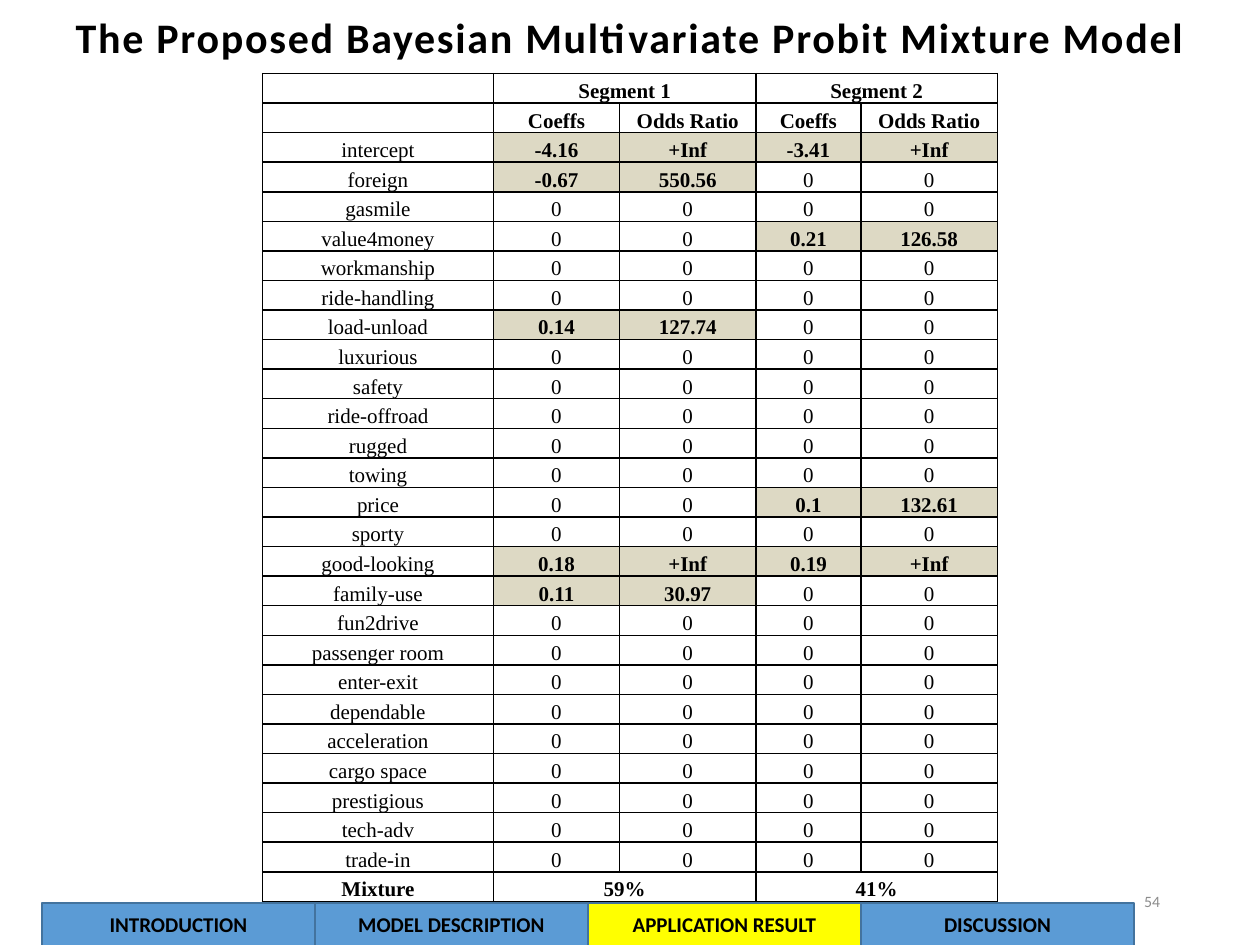
from lxml import etree
from pptx import Presentation
from pptx.dml.color import RGBColor
from pptx.enum import shapes, text
from pptx.oxml import ns
from pptx.util import Pt

BLACK = RGBColor(0x00, 0x00, 0x00)
WHITE = RGBColor(0xFF, 0xFF, 0xFF)
GREY = RGBColor(0x8C, 0x8C, 0x8C)
BLUE = RGBColor(0x5B, 0x9B, 0xD5)
BLUE_EDGE = RGBColor(0x43, 0x73, 0x9E)
YELLOW = RGBColor(0xFF, 0xFF, 0x00)
BEIGE = RGBColor(0xDD, 0xD9, 0xC4)

TITLE = "The Proposed Bayesian Multivariate Probit Mixture Model"
SECTIONS = ["INTRODUCTION", "MODEL DESCRIPTION", "APPLICATION RESULT", "DISCUSSION"]
CURRENT = "APPLICATION RESULT"
TAB_LEFT, TAB_TOP, TAB_W, TAB_H = 24, 516, 156, 24.5

COL_WIDTHS = [132, 72, 78, 60, 78]
ROW_H = 16.92
HEADERS = [["", "Segment 1", "", "Segment 2", ""],
           ["", "Coeffs", "Odds Ratio", "Coeffs", "Odds Ratio"]]
FOOTER = ["Mixture", "59%", "", "41%", ""]
ATTRIBUTES = [
    "intercept", "foreign", "gasmile", "value4money", "workmanship",
    "ride-handling", "load-unload", "luxurious", "safety", "ride-offroad",
    "rugged", "towing", "price", "sporty", "good-looking", "family-use",
    "fun2drive", "passenger room", "enter-exit", "dependable", "acceleration",
    "cargo space", "prestigious", "tech-adv", "trade-in",
]
ZEROS = ["0", "0"]
SEGMENT_1 = {
    "intercept": ["-4.16", "+Inf"],
    "foreign": ["-0.67", "550.56"],
    "load-unload": ["0.14", "127.74"],
    "good-looking": ["0.18", "+Inf"],
    "family-use": ["0.11", "30.97"],
}
SEGMENT_2 = {
    "intercept": ["-3.41", "+Inf"],
    "value4money": ["0.21", "126.58"],
    "price": ["0.1", "132.61"],
    "good-looking": ["0.19", "+Inf"],
}


def set_text(tf, words, size, color=BLACK, bold=True, font="Calibri",
             align=text.PP_ALIGN.CENTER):
    tf.text = words
    p = tf.paragraphs[0]
    p.alignment = align
    for r in p.runs:
        r.font.name = font
        r.font.size = Pt(size)
        r.font.bold = bold
        r.font.color.rgb = color


def add_title(slide):
    sp = slide.shapes.title
    sp.left, sp.top, sp.width, sp.height = Pt(0), Pt(0), Pt(720), Pt(42)
    sp.fill.solid()
    sp.fill.fore_color.rgb = WHITE
    tf = sp.text_frame
    set_text(tf, TITLE, 24)
    tf.auto_size = text.MSO_AUTO_SIZE.NONE
    tf.vertical_anchor = text.MSO_ANCHOR.MIDDLE
    tf.paragraphs[0].runs[0].font._element.set("spc", "100")


def add_page_number(slide, number):
    sp = slide.shapes.add_textbox(Pt(508), Pt(500.5), Pt(162), Pt(28.75))
    tf = sp.text_frame
    tf.word_wrap = True
    tf.vertical_anchor = text.MSO_ANCHOR.MIDDLE
    set_text(tf, number, 9, GREY, False, align=text.PP_ALIGN.RIGHT)


def add_tab(slide, i, label):
    sp = slide.shapes.add_shape(shapes.MSO_SHAPE.RECTANGLE, Pt(TAB_LEFT + i * TAB_W),
                                Pt(TAB_TOP), Pt(TAB_W), Pt(TAB_H))
    sp.shadow.inherit = False
    sp.fill.solid()
    sp.fill.fore_color.rgb = YELLOW if label == CURRENT else BLUE
    sp.line.color.rgb = BLUE_EDGE
    sp.line.width = Pt(1)
    sp.text_frame.vertical_anchor = text.MSO_ANCHOR.MIDDLE
    set_text(sp.text_frame, label, 12)


def add_borders(cell):
    tcPr = cell._tc.get_or_add_tcPr()
    for side in ("lnL", "lnR", "lnT", "lnB"):
        ln = etree.SubElement(tcPr, ns.qn("a:" + side), w=str(Pt(1)))
        fill = etree.SubElement(ln, ns.qn("a:solidFill"))
        etree.SubElement(fill, ns.qn("a:srgbClr"), val=str(BLACK))


def format_cell(cell, words, bold, shaded):
    cell.margin_left = cell.margin_right = cell.margin_top = Pt(0.75)
    cell.margin_bottom = Pt(0)
    cell.vertical_anchor = text.MSO_ANCHOR.BOTTOM
    add_borders(cell)
    if shaded:
        cell.fill.solid()
        cell.fill.fore_color.rgb = BEIGE
    else:
        cell.fill.background()
    set_text(cell.text_frame, words, 12, bold=bold, font="Times New Roman")
    if not words:
        p = cell.text_frame.paragraphs[0]
        etree.SubElement(p._p, ns.qn("a:endParaRPr"), sz="1200")


def add_results_table(slide):
    body = [[name] + SEGMENT_1.get(name, ZEROS) + SEGMENT_2.get(name, ZEROS)
            for name in ATTRIBUTES]
    rows = HEADERS + body + [FOOTER]
    frame = slide.shapes.add_table(len(rows), len(COL_WIDTHS), Pt(150), Pt(42),
                                   Pt(sum(COL_WIDTHS)), Pt(ROW_H * len(rows)))
    table = frame.table
    table.first_row = table.horz_banding = False
    for column, width in zip(table.columns, COL_WIDTHS):
        column.width = Pt(width)
    for i, values in enumerate(rows):
        table.rows[i].height = Pt(ROW_H)
        in_body = len(HEADERS) <= i < len(rows) - 1
        for j, value in enumerate(values):
            shaded = in_body and j > 0 and value != "0"
            format_cell(table.cell(i, j), value, shaded or not in_body, shaded)
    for i in (0, len(rows) - 1):
        for j in (1, 3):
            table.cell(i, j).merge(table.cell(i, j + 1))


def main():
    prs = Presentation()
    prs.slide_width, prs.slide_height = Pt(720), Pt(540)
    slide = prs.slides.add_slide(prs.slide_layouts[5])
    add_page_number(slide, "54")
    add_title(slide)
    for i, label in enumerate(SECTIONS):
        add_tab(slide, i, label)
    add_results_table(slide)
    prs.save("out.pptx")


if __name__ == "__main__":
    main()
